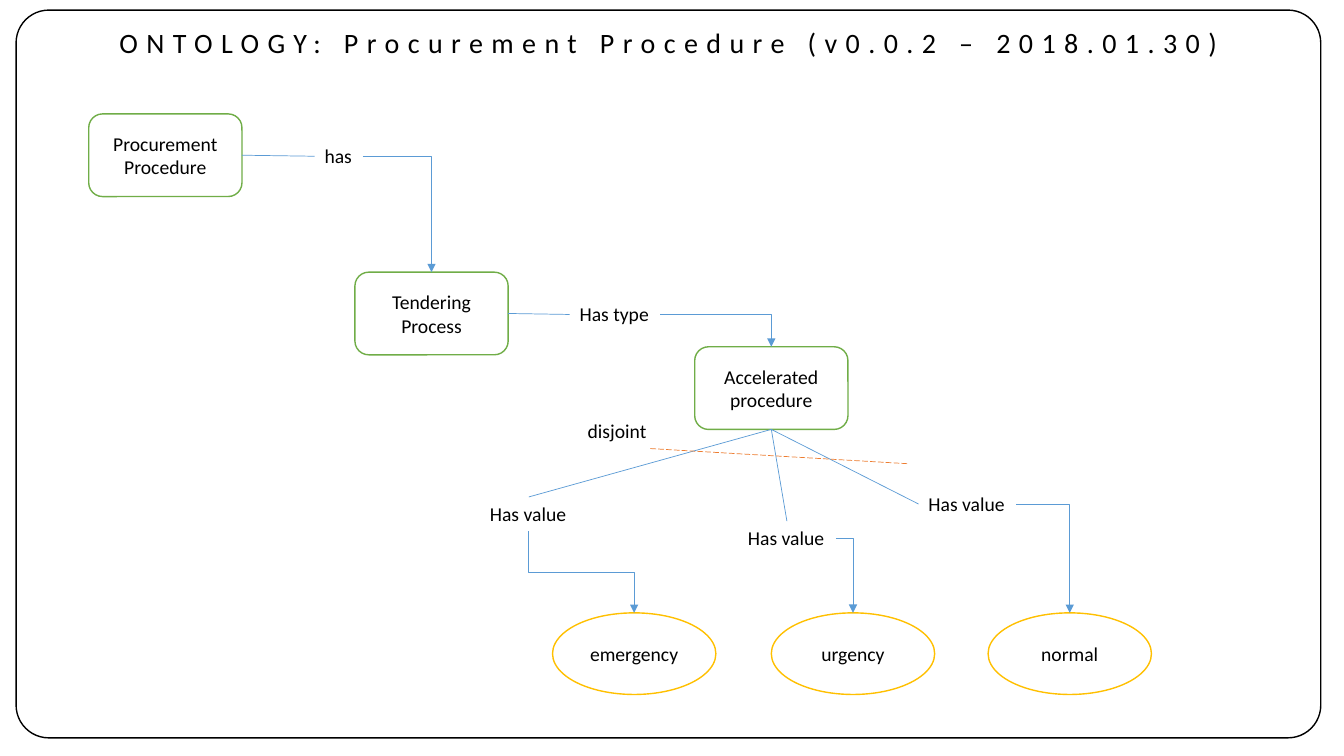
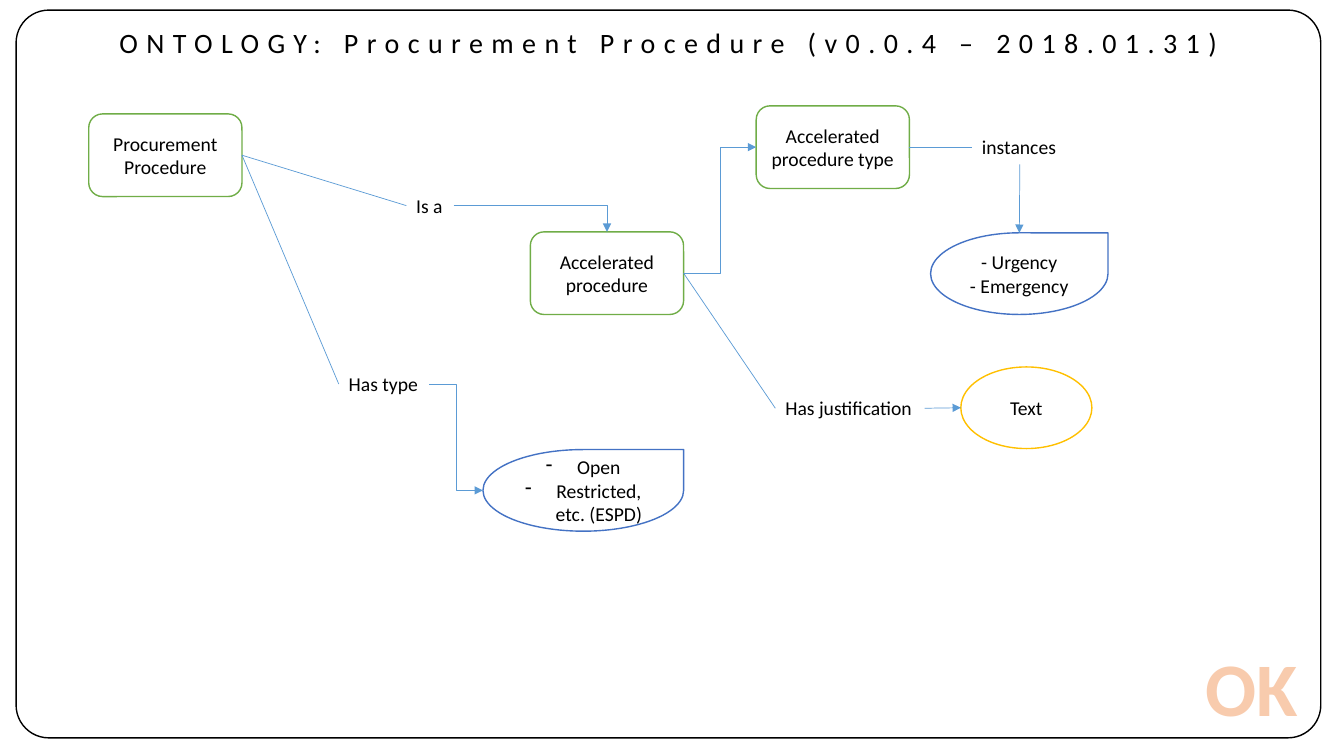
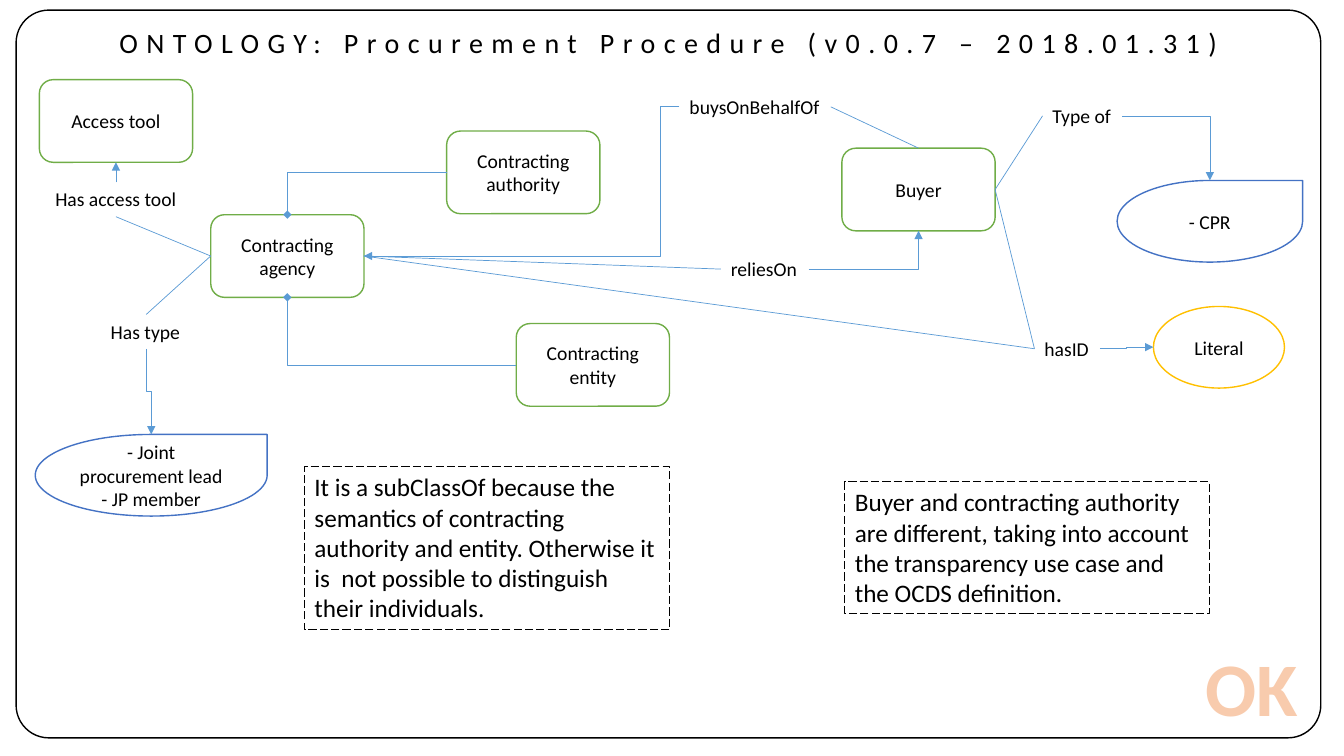
from lxml.etree import SubElement
from pptx import Presentation
from pptx.dml.color import RGBColor
from pptx.enum.dml import MSO_LINE
from pptx.enum.shapes import MSO_CONNECTOR as CONNECTOR, MSO_SHAPE as SHAPE
from pptx.enum.text import MSO_ANCHOR as ANCHOR, MSO_AUTO_SIZE as AUTO_SIZE, PP_ALIGN as ALIGN
from pptx.oxml.ns import qn
from pptx.util import Inches, Pt

TITLE_ONLY = 5


def color(value):
    """Turn a hex string into a colour."""
    return RGBColor.from_string(value)


def side(box, name):
    """Return the middle point of one side of a box."""
    across = {"left": 0, "right": 1}.get(name, 0.5)
    down = {"top": 0, "bottom": 1}.get(name, 0.5)
    return int(box.left + box.width * across), int(box.top + box.height * down)


class Diagram:
    """Holds the shared style and the slide being drawn."""

    FONT = "Calibri"
    BLACK, WHITE = "000000", "FFFFFF"
    CLASS, VALUE, LIST = "70AD47", "FFC000", "4472C4"
    LINK, DISJOINT = "5B9BD5", "ED7D31"
    STAMP, STAMP_EDGE = "F8CBAD", "ED7D31"

    def __init__(self, deck):
        """Keep the deck that receives the pages."""
        self.deck = deck
        self.page = None

    def start(self, title):
        """Add a page with its rounded frame and spaced title."""
        self.page = self.deck.slides.add_slide(self.deck.slide_layouts[TITLE_ONLY])
        frame = self.shape(SHAPE.ROUNDED_RECTANGLE, (0.16, 0.1, 12.94, 7.22), self.BLACK)
        frame.adjustments[0] = 0.045
        box = self.page.shapes.title
        box.left, box.top, box.width, box.height = map(Inches, (0.16, 0.2, 12.94, 0.44))
        box.text_frame.vertical_anchor = ANCHOR.TOP
        box.text_frame.auto_size = AUTO_SIZE.NONE
        for span in self.add_lines(box, [title], size=20):
            span.font._element.set("spc", "600")

    def add_lines(self, box, lines, size=14, align=ALIGN.CENTER, ink=BLACK, bold=False):
        """Add one paragraph per line and return the runs."""
        spans = []
        for index, line in enumerate(lines):
            frame = box.text_frame
            para = frame.add_paragraph() if index else frame.paragraphs[0]
            para.alignment = align
            span = para.add_run()
            span.text = line
            span.font.name, span.font.size, span.font.bold = self.FONT, Pt(size), bold
            span.font.color.rgb = color(ink)
            spans.append(span)
        return spans

    def shape(self, kind, place, edge, fill=None, weight=1):
        """Add a flat outlined shape."""
        box = self.page.shapes.add_shape(kind, *map(Inches, place))
        box.shadow.inherit = False
        if fill:
            box.fill.solid()
            box.fill.fore_color.rgb = color(fill)
        else:
            box.fill.background()
        box.line.color.rgb = color(edge)
        box.line.width = Pt(weight)
        return box

    def node(self, kind, place, edge, lines):
        """Add a white shape with centred text."""
        box = self.shape(kind, place, edge, self.WHITE)
        box.text_frame.vertical_anchor = ANCHOR.MIDDLE
        self.add_lines(box, lines)
        return box

    def entity(self, text, left, top):
        """Add a class of the ontology."""
        return self.node(SHAPE.ROUNDED_RECTANGLE, (left, top, 1.52, 0.82), self.CLASS, [text])

    def value(self, text, left, top, width=1.3):
        """Add an oval for a value."""
        return self.node(SHAPE.OVAL, (left, top, width, 0.81), self.VALUE, [text])

    def code_list(self, lines, left, top, width, bullets=False):
        """Add a teardrop that lists allowed codes."""
        box = self.node(SHAPE.TEAR, (left, top, width, 0.81), self.LIST, lines)
        for para in box.text_frame.paragraphs if bullets else ():
            props = para._p.get_or_add_pPr()
            props.set("marL", str(Inches(0.31)))
            props.set("indent", str(Inches(-0.31)))
            SubElement(props, qn("a:buChar")).set("char", "-")
        return box

    def text(self, lines, place, **style):
        """Add a text box that does not wrap and return it with its runs."""
        box = self.page.shapes.add_textbox(*map(Inches, place))
        box.text_frame.word_wrap = False
        box.text_frame.auto_size = AUTO_SIZE.SHAPE_TO_FIT_TEXT
        return box, self.add_lines(box, lines, **style)

    def label(self, text, left, top, width):
        """Add the name of a relation."""
        return self.text([text], (left, top, width, 0.34), align=ALIGN.LEFT)[0]

    def note(self, text, left, top, height):
        """Add a remark in a dashed frame."""
        box = self.shape(SHAPE.RECTANGLE, (left, top, 3.62, height), self.BLACK, weight=0.75)
        box.line.dash_style = MSO_LINE.LONG_DASH
        box.text_frame.vertical_anchor = ANCHOR.TOP
        box.text_frame.word_wrap = True
        box.text_frame.auto_size = AUTO_SIZE.SHAPE_TO_FIT_TEXT
        self.add_lines(box, [text], size=18, align=ALIGN.LEFT)

    def stamp(self):
        """Add the approval mark in the lower right corner."""
        _, spans = self.text(["OK"], (11.85, 6.31, 1.13, 1.01), size=54, ink=self.STAMP, bold=True)
        props = spans[0].font._element
        edge = SubElement(props, qn("a:ln"))
        edge.set("w", str(Pt(1.75)))
        fill = SubElement(edge, qn("a:solidFill"))
        SubElement(fill, qn("a:srgbClr")).set("val", self.STAMP_EDGE)
        props.insert(0, edge)

    def line(self, start, end, head=None, tail=None, ink=LINK, dash=None, kind=CONNECTOR.STRAIGHT):
        """Add a thin connector, with arrowheads if named."""
        link = self.page.shapes.add_connector(kind, *start, *end)
        link.line.color.rgb = color(ink)
        link.line.width = Pt(0.5)
        if dash:
            link.line.dash_style = dash
        outline = link.element.spPr.find(qn("a:ln"))
        for tag, arrow in (("a:headEnd", head), ("a:tailEnd", tail)):
            if arrow:
                SubElement(outline, qn(tag)).set("type", arrow)
        SubElement(link.element.spPr, qn("a:effectLst"))
        return link

    def elbow(self, start, end, upright=False, corners=1, turn=0.5, head=None, tail="triangle"):
        """Add a bent connector; an upright one leaves vertically."""
        link = self.line(start, end, head, tail, kind=CONNECTOR.ELBOW)
        geometry = link.element.spPr.find(qn("a:prstGeom"))
        geometry.set("prst", f"bentConnector{corners + 1}")
        if corners == 2:
            guide = SubElement(geometry.find(qn("a:avLst")), qn("a:gd"))
            guide.set("name", "adj1")
            guide.set("fmla", f"val {round(turn * 100000)}")
        if upright:
            right, down = end[0] > start[0], end[1] > start[1]
            width, height = link.height, link.width
            link.left = (start[0] + end[0] - width) // 2
            link.top = (start[1] + end[1] - height) // 2
            link.width, link.height = width, height
            frame = link.element.spPr.find(qn("a:xfrm"))
            frame.set("rot", str((270 if down else 90) * 60000))
            frame.set("flipH", "1")
            frame.set("flipV", str(int(right != down)))


def draw_tendering(art):
    """Draw the tendering process and its accelerated values."""
    art.start("ONTOLOGY: Procurement Procedure (v0.0.2 – 2018.01.30)")
    procedure = art.entity("Procurement Procedure", 0.88, 1.13)
    process = art.entity("Tendering Process", 3.52, 2.7)
    accelerated = art.entity("Accelerated procedure", 6.89, 3.44)
    has = art.label("has", 3.12, 1.38, 0.48)
    has_type = art.label("Has type", 5.65, 2.95, 0.9)
    for source, label, target in ((procedure, has, process), (process, has_type, accelerated)):
        art.line(side(source, "right"), side(label, "left"))
        art.elbow(side(label, "right"), side(target, "top"))

    branches = (
        ("emergency", 5.48, 4.76, 4.93, "top", "bottom"),
        ("urgency", 7.65, 7.32, 5.17, "top", "right"),
        ("normal", 9.8, 9.11, 4.83, "left", "right"),
    )
    for name, left, label_left, label_top, entry, leave in branches:
        value = art.value(name, left, 6.08, 1.62)
        label = art.label("Has value", label_left, label_top, 0.97)
        upright = leave == "bottom"
        art.line(side(accelerated, "bottom"), side(label, entry))
        art.elbow(side(label, leave), side(value, "top"), upright, corners=2 if upright else 1)

    art.label("disjoint", 5.73, 4.11, 0.79)
    art.line((Inches(6.45), Inches(4.45)), (Inches(9), Inches(4.6)),
             ink=art.DISJOINT, dash=MSO_LINE.LONG_DASH)


def draw_accelerated(art):
    """Draw the accelerated procedure with its type and justification."""
    art.start("ONTOLOGY: Procurement Procedure (v0.0.4 – 2018.01.31)")
    procedure = art.entity("Procurement Procedure", 0.88, 1.13)
    accelerated = art.entity("Accelerated procedure", 5.26, 2.3)
    kind = art.entity("Accelerated procedure type", 7.5, 1.05)
    urgency = art.code_list(["- Urgency", "- Emergency"], 9.23, 2.31, 1.76)
    kinds = art.code_list(["Open", "Restricted, etc. (ESPD)"], 4.79, 4.46, 1.99, bullets=True)
    reason = art.value("Text", 9.53, 3.64)
    is_a = art.label("Is a", 4.03, 1.87, 0.47)
    has_type = art.label("Has type", 3.36, 3.64, 0.9)
    instances = art.label("instances", 9.64, 1.29, 0.95)
    justification = art.label("Has justification", 7.69, 3.88, 1.48)

    for source, label in ((procedure, is_a), (procedure, has_type),
                          (kind, instances), (accelerated, justification)):
        art.line(side(source, "right"), side(label, "left"))
    art.elbow(side(is_a, "right"), side(accelerated, "top"))
    art.elbow(side(has_type, "right"), side(kinds, "left"), corners=2)
    art.elbow(side(accelerated, "right"), side(kind, "left"), corners=2)
    art.line(side(instances, "bottom"), side(urgency, "top"), tail="triangle")
    art.line(side(justification, "right"), side(reason, "left"), tail="triangle")
    art.stamp()


def draw_agency(art):
    """Draw the contracting agency and the buyer."""
    art.start("ONTOLOGY: Procurement Procedure (v0.0.7 – 2018.01.31)")
    agency = art.entity("Contracting agency", 2.09, 2.13)
    contracting_entity = art.entity("Contracting entity", 5.12, 3.21)
    authority = art.entity("Contracting authority", 4.43, 1.3)
    buyer = art.entity("Buyer", 8.35, 1.47)
    tool = art.entity("Access tool", 0.39, 0.79)
    roles = art.code_list(["- Joint procurement lead", "- JP member"], 0.35, 4.31, 2.3)
    buyer_types = art.code_list(["- CPR"], 11.08, 1.79, 1.84)
    literal = art.value("Literal", 11.44, 3.04)
    buys = art.label("buysOnBehalfOf", 6.74, 0.89, 1.5)
    relies = art.label("reliesOn", 7.15, 2.5, 0.87)
    has_type = art.label("Has type", 1, 3.12, 0.9)
    type_of = art.label("Type of", 10.34, 0.98, 0.79)
    has_id = art.label("hasID", 10.26, 3.29, 0.65)
    has_tool = art.label("Has access tool", 0.45, 1.81, 1.4)

    for edge, part in (("top", authority), ("bottom", contracting_entity)):
        art.elbow(side(agency, edge), side(part, "left"), upright=True, head="diamond", tail=None)
    for source, start, label, end in (
        (buyer, "top", buys, "right"),
        (buyer, "right", type_of, "left"),
        (buyer, "right", has_id, "left"),
        (agency, "right", relies, "left"),
        (agency, "right", has_id, "left"),
        (agency, "left", has_type, "top"),
        (agency, "left", has_tool, "bottom"),
    ):
        art.line(side(source, start), side(label, end))
    art.elbow(side(buys, "left"), side(agency, "right"), corners=2, turn=0.06)
    art.elbow(side(relies, "right"), side(buyer, "bottom"))
    art.elbow(side(type_of, "right"), side(buyer_types, "top"))
    art.elbow(side(has_id, "right"), side(literal, "left"), corners=2)
    art.elbow(side(has_type, "bottom"), side(roles, "top"), upright=True, corners=2)
    art.line(side(has_tool, "top"), side(tool, "bottom"), tail="triangle")

    art.note("It is a subClassOf because the semantics of contracting authority and entity. "
             "Otherwise it is  not possible to distinguish their individuals.", 3.02, 4.63, 1.62)
    art.note("Buyer and contracting authority are different, taking into account "
             "the transparency use case and the OCDS definition.", 8.38, 4.78, 1.31)
    art.stamp()


def main():
    """Build the deck and save it."""
    deck = Presentation()
    deck.slide_width, deck.slide_height = Inches(13.33), Inches(7.5)
    art = Diagram(deck)
    for draw in (draw_tendering, draw_accelerated, draw_agency):
        draw(art)
    deck.save("out.pptx")


main()
